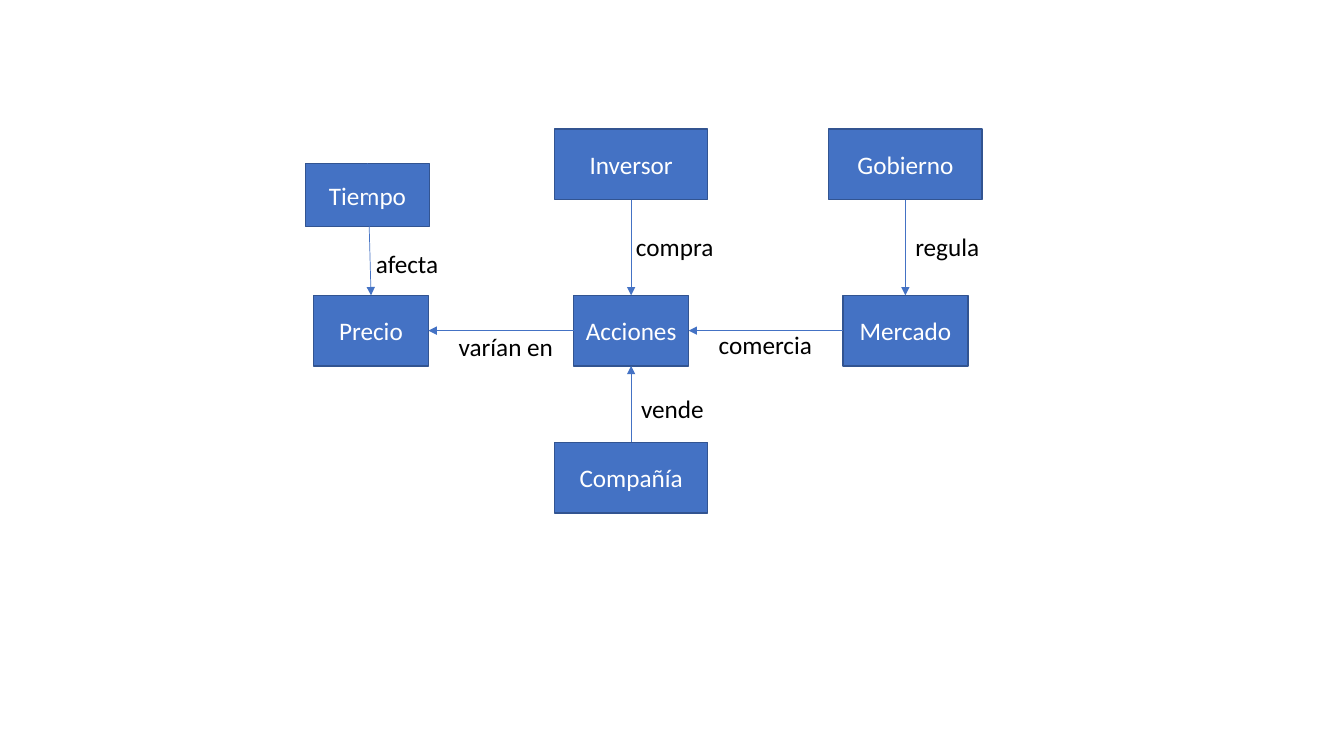
from lxml import etree
from pptx import Presentation
from pptx.dml.color import RGBColor
from pptx.enum.shapes import MSO_CONNECTOR as Connector, MSO_SHAPE as Shape
from pptx.enum.text import MSO_ANCHOR as Anchor, MSO_AUTO_SIZE as AutoSize, PP_ALIGN as Align
from pptx.oxml.ns import qn
from pptx.util import Inches, Pt

BLUE = RGBColor(0x44, 0x72, 0xC4)
DARK_BLUE = RGBColor(0x32, 0x54, 0x91)
WHITE = RGBColor(0xFF, 0xFF, 0xFF)
BLACK = RGBColor(0, 0, 0)

COLUMNS = {"price": 3.68, "shares": 6.26, "market": 8.98}
ROWS = {"actors": 1.63, "objects": 3.28, "company": 4.74}
BOX_H, LABEL_H = 0.7, 0.4
WIDE, MEDIUM, NARROW = 1.52, 1.24, 1.14
TOP, LEFT, BOTTOM, RIGHT = range(4)

ENTITIES = [
    ("Acciones", "shares", "objects", NARROW),
    ("Mercado", "market", "objects", MEDIUM),
    ("Inversor", "shares", "actors", WIDE),
    ("Precio", "price", "objects", NARROW),
    ("Gobierno", "market", "actors", WIDE),
    ("Compañía", "shares", "company", WIDE),
]
TIME_BOX = ("Tiempo", 3.03, 1.62, 1.23, 0.63)

RELATIONS = [
    ("Tiempo", TOP, "Precio", TOP, "afecta", 3.63, 2.41, 0.83),
    ("Mercado", LEFT, "Acciones", RIGHT, "comercia", 7.03, 3.22, 1.14),
    ("Inversor", BOTTOM, "Acciones", TOP, "compra", 6.21, 2.25, 1.14),
    ("Gobierno", BOTTOM, "Mercado", TOP, "regula", 8.98, 2.25, 0.84),
    ("Acciones", LEFT, "Precio", RIGHT, "varían en", 4.45, 3.24, 1.15),
    ("Compañía", TOP, "Acciones", BOTTOM, "vende", 6.26, 3.85, 0.83),
]

prs = Presentation()
prs.slide_width, prs.slide_height = Inches(13.33), Inches(7.5)
s = prs.slides.add_slide(prs.slide_layouts[6])


def write(sp, text, color, align):
    p = sp.text_frame.paragraphs[0]
    p.alignment = align
    r = p.add_run()
    r.text = text
    for name, value in {"size": Pt(18), "name": "Calibri"}.items():
        setattr(r.font, name, value)
    r.font.color.rgb = color


def add_box(text, x, y, w, h):
    sp = s.shapes.add_shape(Shape.RECTANGLE, *map(Inches, (x, y, w, h)))
    sp.shadow.inherit = False
    sp.fill.solid()
    sp.fill.fore_color.rgb = BLUE
    sp.line.color.rgb = DARK_BLUE
    sp.line.width = Pt(1)
    sp.text_frame.vertical_anchor = Anchor.MIDDLE
    write(sp, text, WHITE, Align.CENTER)
    return sp


def add_arrow(start, start_site, end, end_site):
    line = s.shapes.add_connector(Connector.STRAIGHT, 0, 0, 0, 0)
    line.begin_connect(start, start_site)
    line.end_connect(end, end_site)
    line.line.color.rgb = BLUE
    line.line.width = Pt(0.5)
    etree.SubElement(line.line._get_or_add_ln(), qn("a:tailEnd"), type="triangle")
    etree.SubElement(line._element.spPr, qn("a:effectLst"))


def add_label(text, x, y, w):
    sp = s.shapes.add_textbox(*map(Inches, (x, y, w, LABEL_H)))
    sp.text_frame.word_wrap = text == "compra"
    sp.text_frame.auto_size = AutoSize.SHAPE_TO_FIT_TEXT
    write(sp, text, BLACK, Align.LEFT)


boxes = {TIME_BOX[0]: add_box(*TIME_BOX)}
for text, column, row, w in ENTITIES:
    boxes[text] = add_box(text, COLUMNS[column] - w / 2, ROWS[row] - BOX_H / 2, w, BOX_H)

for start, start_site, end, end_site, verb, x, y, w in RELATIONS:
    add_arrow(boxes[start], start_site, boxes[end], end_site)
    add_label(verb, x, y, w)

prs.save("out.pptx")
